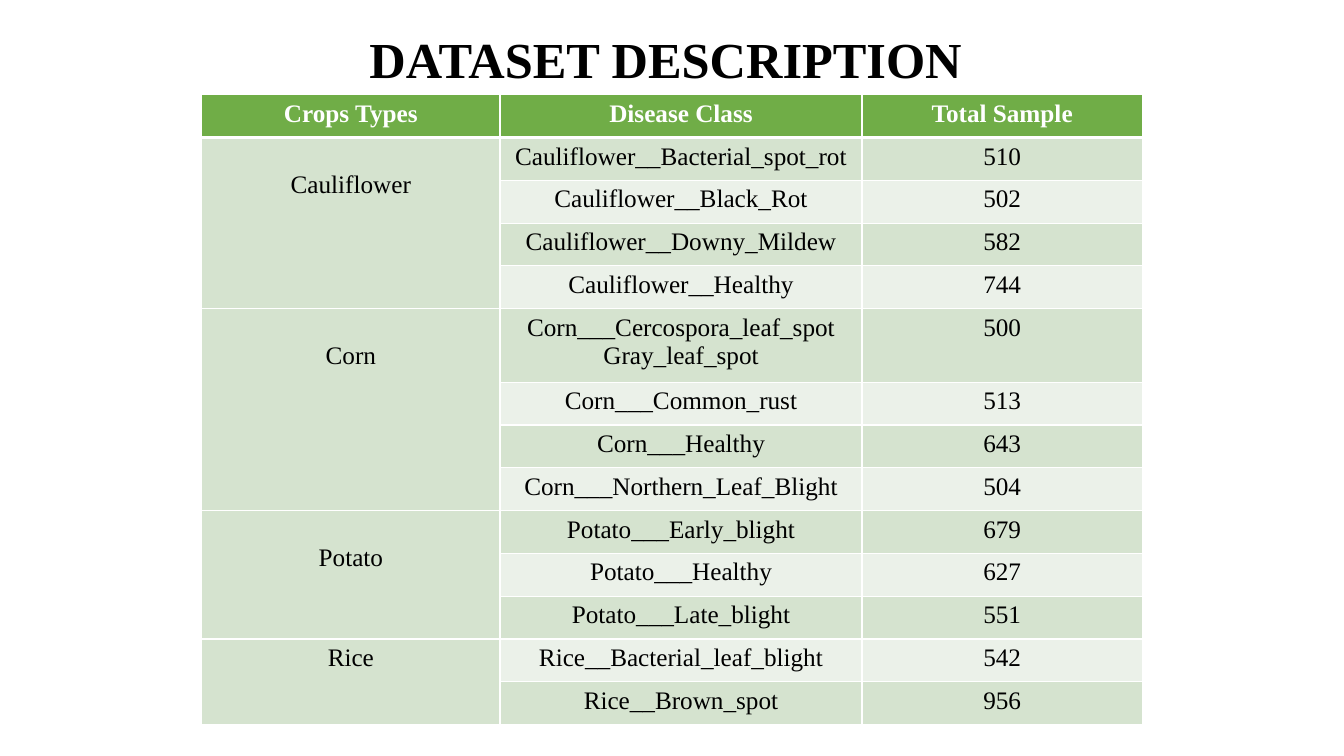
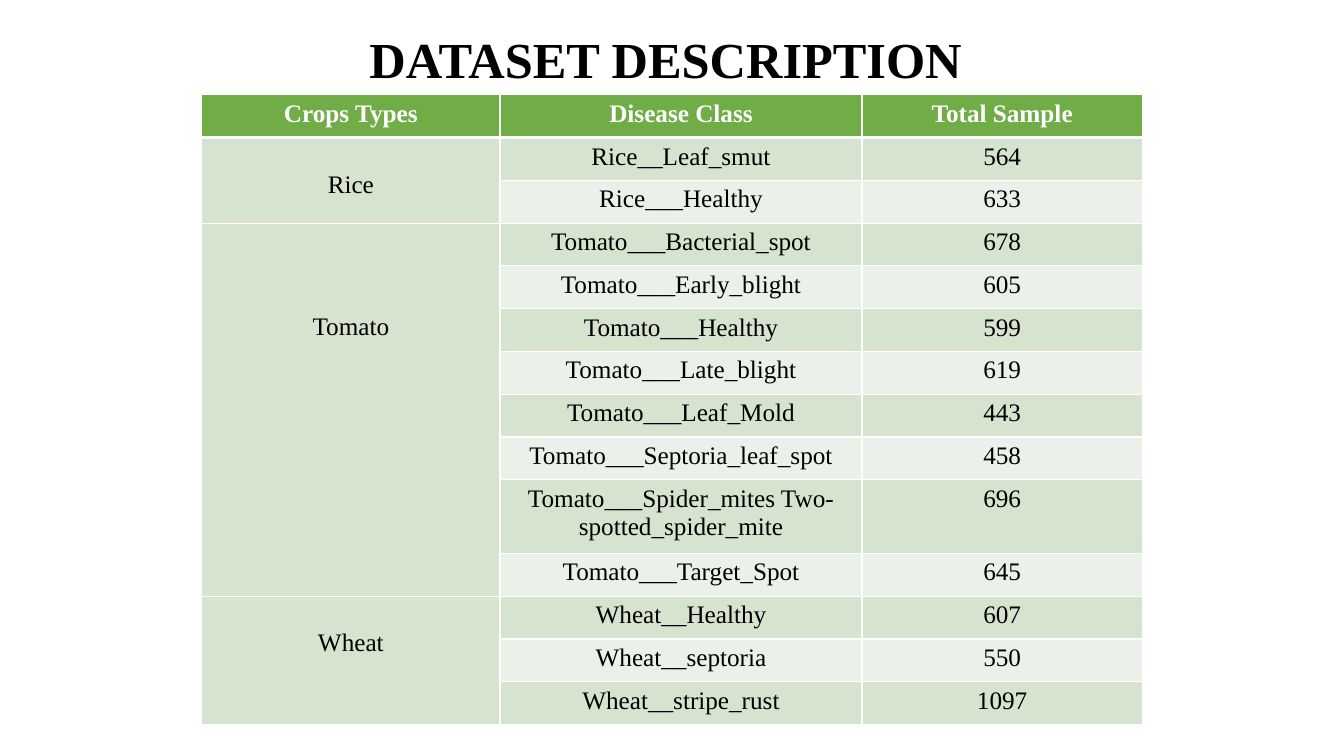
"""Build two slides listing the crop disease classes and their sample counts."""
from typing import NamedTuple

from lxml.etree import SubElement
from pptx import Presentation
from pptx.dml.color import RGBColor
from pptx.enum.text import MSO_AUTO_SIZE, PP_ALIGN
from pptx.oxml.ns import qn
from pptx.util import Inches, Pt

FONT = "Times New Roman"
BLACK, WHITE = "000000", "FFFFFF"
GREEN, BAND_DARK, BAND_LIGHT = "70AD47", "D5E3CF", "EBF1E9"
TITLE = "DATASET DESCRIPTION "
HEADERS = ("Crops Types", "Disease Class", "Total Sample")
COL_WIDTHS = (2.96, 3.59, 2.78)
TABLE_HEIGHT, TALL_ROW, MARGIN, LINE = 6.25, 0.73, 0.05, 0.28
LONGEST_LINE = 30


class Disease(NamedTuple):
    name: str
    samples: int


class Crop(NamedTuple):
    name: str
    lines_down: int
    diseases: list[Disease]


SLIDES = [
    [
        Crop("Cauliflower", 1, [
            Disease("Cauliflower__Bacterial_spot_rot", 510),
            Disease("Cauliflower__Black_Rot", 502),
            Disease("Cauliflower__Downy_Mildew", 582),
            Disease("Cauliflower__Healthy", 744),
        ]),
        Crop("Corn", 1, [
            Disease("Corn___Cercospora_leaf_spot Gray_leaf_spot", 500),
            Disease("Corn___Common_rust", 513),
            Disease("Corn___Healthy", 643),
            Disease("Corn___Northern_Leaf_Blight", 504),
        ]),
        Crop("Potato", 1, [
            Disease("Potato___Early_blight", 679),
            Disease("Potato___Healthy", 627),
            Disease("Potato___Late_blight", 551),
        ]),
        Crop("Rice", 0, [
            Disease("Rice__Bacterial_leaf_blight", 542),
            Disease("Rice__Brown_spot", 956),
        ]),
    ],
    [
        Crop("Rice", 1, [
            Disease("Rice__Leaf_smut", 564),
            Disease("Rice___Healthy", 633),
        ]),
        Crop("Tomato", 3, [
            Disease("Tomato___Bacterial_spot", 678),
            Disease("Tomato___Early_blight", 605),
            Disease("Tomato___Healthy", 599),
            Disease("Tomato___Late_blight", 619),
            Disease("Tomato___Leaf_Mold", 443),
            Disease("Tomato___Septoria_leaf_spot", 458),
            Disease("Tomato___Spider_mites Two-spotted_spider_mite", 696),
            Disease("Tomato___Target_Spot", 645),
        ]),
        Crop("Wheat", 1, [
            Disease("Wheat__Healthy", 607),
            Disease("Wheat__septoria", 550),
            Disease("Wheat__stripe_rust", 1097),
        ]),
    ],
]


def rgb(color: str) -> RGBColor:
    return RGBColor.from_string(color)


def write(tf, text: str, size: int, color: str, bold: bool) -> None:
    p = tf.paragraphs[0]
    p.text = text
    p.alignment = PP_ALIGN.CENTER
    font = p.font
    font.name, font.size, font.bold = FONT, Pt(size), bold
    font.color.rgb = rgb(color)


def add_title(s) -> None:
    sp = s.shapes.add_textbox(Inches(2.22), Inches(0.23), Inches(8.89), Inches(0.71))
    tf = sp.text_frame
    tf.word_wrap = True
    tf.auto_size = MSO_AUTO_SIZE.SHAPE_TO_FIT_TEXT
    write(tf, TITLE, 36, BLACK, True)


def style_cell(cell, row: int, col: int) -> None:
    tc_pr = cell._tc.get_or_add_tcPr()
    widths = {"lnL": 1, "lnR": 1, "lnT": 3 if row == 1 else 1, "lnB": 3 if row == 0 else 1}
    for tag, width in widths.items():
        ln = SubElement(tc_pr, qn(f"a:{tag}"), w=str(Pt(width)))
        SubElement(SubElement(ln, qn("a:solidFill")), qn("a:srgbClr"), val=WHITE)
    if row == 0:
        color = GREEN
    else:
        color = BAND_DARK if col == 0 or row % 2 else BAND_LIGHT
    cell.fill.solid()
    cell.fill.fore_color.rgb = rgb(color)


def add_dataset_table(s, crops: list[Crop]) -> None:
    diseases = [disease for crop in crops for disease in crop.diseases]
    n_rows = len(diseases) + 1
    table = s.shapes.add_table(
        n_rows, len(HEADERS), Inches(2), Inches(0.94),
        Inches(sum(COL_WIDTHS)), Inches(TABLE_HEIGHT),
    ).table
    for column, width in zip(table.columns, COL_WIDTHS):
        column.width = Inches(width)
    for row in range(n_rows):
        for col in range(len(HEADERS)):
            style_cell(table.cell(row, col), row, col)
    for col, header in enumerate(HEADERS):
        write(table.cell(0, col).text_frame, header, 18, WHITE, True)

    tall = {
        row for row, disease in enumerate(diseases, 1)
        if " " in disease.name and len(disease.name) > LONGEST_LINE
    }
    row_height = (TABLE_HEIGHT - TALL_ROW * len(tall)) / (n_rows - len(tall))
    for row in range(n_rows):
        table.rows[row].height = Inches(TALL_ROW if row in tall else row_height)
    for row, disease in enumerate(diseases, 1):
        write(table.cell(row, 1).text_frame, disease.name, 18, BLACK, False)
        write(table.cell(row, 2).text_frame, str(disease.samples), 18, BLACK, False)

    first = 1
    for crop in crops:
        last = first + len(crop.diseases) - 1
        cell = table.cell(first, 0)
        cell.merge(table.cell(last, 0))
        cell.margin_top = Inches(MARGIN + crop.lines_down * LINE)
        write(cell.text_frame, crop.name, 18, BLACK, False)
        first = last + 1


def main() -> None:
    prs = Presentation()
    prs.slide_width, prs.slide_height = Inches(13.33), Inches(7.5)
    for crops in SLIDES:
        s = prs.slides.add_slide(prs.slide_layouts[6])
        add_dataset_table(s, crops)
        add_title(s)
    prs.save("out.pptx")


if __name__ == "__main__":
    main()
